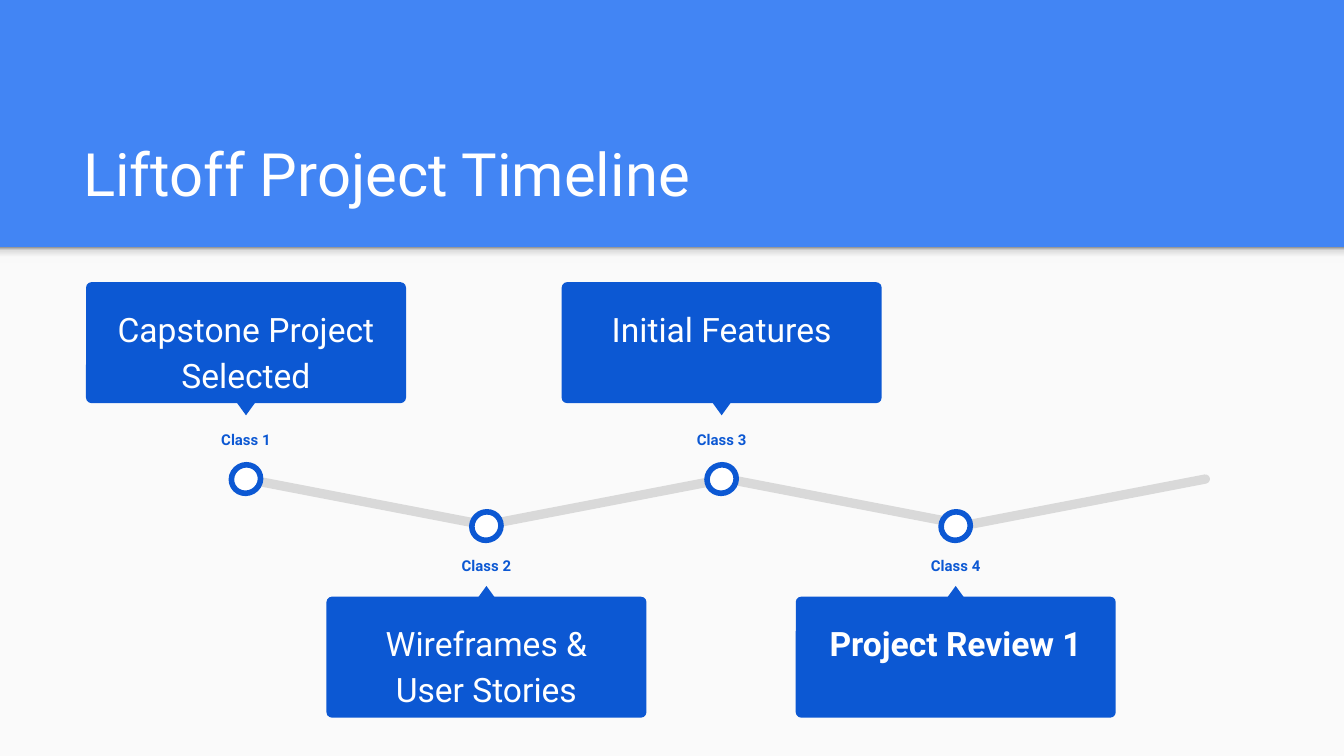
import copy
import pptx
import pptx.util
import pptx.dml.color
import pptx.enum.shapes
import pptx.enum.text

Pt = pptx.util.Pt
SHAPES = pptx.enum.shapes.MSO_SHAPE
BLUE, WHITE, GREY, PAPER = "0C58D3", "FFFFFF", "D9D9D9", "FAFAFA"


def color(value):
    """Turn a hex string into a colour."""
    return pptx.dml.color.RGBColor.from_string(value)


def add_box(page, kind, box, fill, line=None):
    """Add a flat shape at (left, top, width, height) in points."""
    shape = page.shapes.add_shape(kind, *[Pt(length) for length in box])
    shape.shadow.inherit = False
    shape.fill.solid()
    shape.fill.fore_color.rgb = color(fill)
    if line:
        shape.line.color.rgb = color(line)
        shape.line.width = Pt(3)
    else:
        shape.line.fill.background()
    return shape


def write(shape, text, size, ink, bold=False, inset=7.2, top_inset=7.2, centred=True):
    """Set and format the single paragraph of a shape."""
    frame = shape.text_frame
    frame.text = text
    frame.word_wrap = True
    frame.auto_size = pptx.enum.text.MSO_AUTO_SIZE.NONE
    frame.vertical_anchor = pptx.enum.text.MSO_ANCHOR.TOP
    frame.margin_left = frame.margin_right = Pt(inset)
    frame.margin_top = frame.margin_bottom = Pt(top_inset)
    para = frame.paragraphs[0]
    if centred:
        para.alignment = pptx.enum.text.PP_ALIGN.CENTER
        para.line_spacing = 1.15
        para.space_after = Pt(16)
    else:
        para.alignment = pptx.enum.text.PP_ALIGN.LEFT
    font = para.runs[0].font
    font.name, font.size, font.bold = "Roboto", Pt(size), bold
    font.color.rgb = color(ink)


def add_backdrop(page, box):
    """Draw the light panel and the soft shade along its top edge."""
    left, top, width, height = box
    add_box(page, SHAPES.RECTANGLE, box, PAPER)
    shade = add_box(page, SHAPES.RECTANGLE, (left, top, width, 8.6), PAPER)
    shade.fill.gradient()
    shade.fill.gradient_angle = 90
    stop_list = shade._element.spPr.xpath(".//a:gsLst")[0]
    for _ in range(2):
        stop_list.insert(0, copy.deepcopy(stop_list[0]))
    stops = [(0, "F9F9F9"), (0.36, "F9F9F9"), (0.8, "DEDEDE"), (1, "999999")]
    for stop, (position, value) in zip(shade.fill.gradient_stops, stops):
        stop.position = position
        stop.color.rgb = color(value)


def add_title(page, box, text):
    """Place and format the title placeholder."""
    title = page.shapes.title
    title.left, title.top, title.width, title.height = [Pt(length) for length in box]
    write(title, text, 32, WHITE, centred=False)
    title.text_frame.vertical_anchor = pptx.enum.text.MSO_ANCHOR.BOTTOM


def add_track(page, box, count):
    """Draw the zigzag of rounded bars, centred at equal steps across the box."""
    left, top, width, height = box
    step = (width - 134.6) / (count - 1)
    for index in range(count):
        bar = add_box(page, SHAPES.ROUNDED_RECTANGLE,
                      (left + index * step, top, 134.6, height), GREY)
        bar.adjustments[0] = 0.5
        bar.rotation = -10.9 if index % 2 else 10.9


def add_milestone(page, box, label, text, above, bold):
    """Draw a card with pointer, label and dot, the card above or below the track."""
    left, top, width, height = box
    center = left + width / 2
    card_height = 64.8
    if above:
        card_top, tip_top, label_top, dot_top = top, top + card_height, top + 70.6, top + 97.9
    else:
        card_top = top + height - card_height
        tip_top, label_top, dot_top = card_top - 5.8, card_top - 30.2, card_top - 45.4

    card = add_box(page, SHAPES.ROUNDED_RECTANGLE, (left, card_top, width, card_height), BLUE)
    card.adjustments[0] = 0.045
    write(card, text, 18, WHITE, bold, inset=11, top_inset=10)

    tip = add_box(page, SHAPES.ISOSCELES_TRIANGLE, (center - 4.7, tip_top, 9.4, 6.5), BLUE)
    tip.rotation = 180 if above else 0

    caption = page.shapes.add_textbox(Pt(center - 35), Pt(label_top), Pt(70), Pt(25.2))
    write(caption, label, 8, BLUE, bold=True)

    dot = add_box(page, SHAPES.OVAL, (center - 7.9, dot_top, 15.8, 15.1), WHITE, BLUE)
    dot.rotation = 330.2


def main():
    """Build the timeline slide."""
    deck = pptx.Presentation()
    deck.slide_width, deck.slide_height = Pt(720), Pt(405)
    page = deck.slides.add_slide(deck.slide_layouts[5])
    page.background.fill.solid()
    page.background.fill.fore_color.rgb = color("4285F4")

    add_backdrop(page, (0, 132.5, 720, 272.5))
    add_title(page, (37.4, 58.3, 647.3, 60.5), "Liftoff Project Timeline")
    add_track(page, (128.2, 266.4, 521.2, 5), 4)

    milestones = [
        (131.8, "Capstone Project Selected"),
        (260.6, "Wireframes & User Stories"),
        (386.6, "Initial Features"),
        (512, "Project Review 1"),
    ]
    for number, (center, text) in enumerate(milestones, 1):
        above = number % 2 == 1
        box = (center - 85.7, 151.2 if above else 274.3, 171.4, 113 if above else 110.2)
        add_milestone(page, box, f"Class {number}", text, above, bold=number == 4)

    deck.save("out.pptx")


if __name__ == "__main__":
    main()
